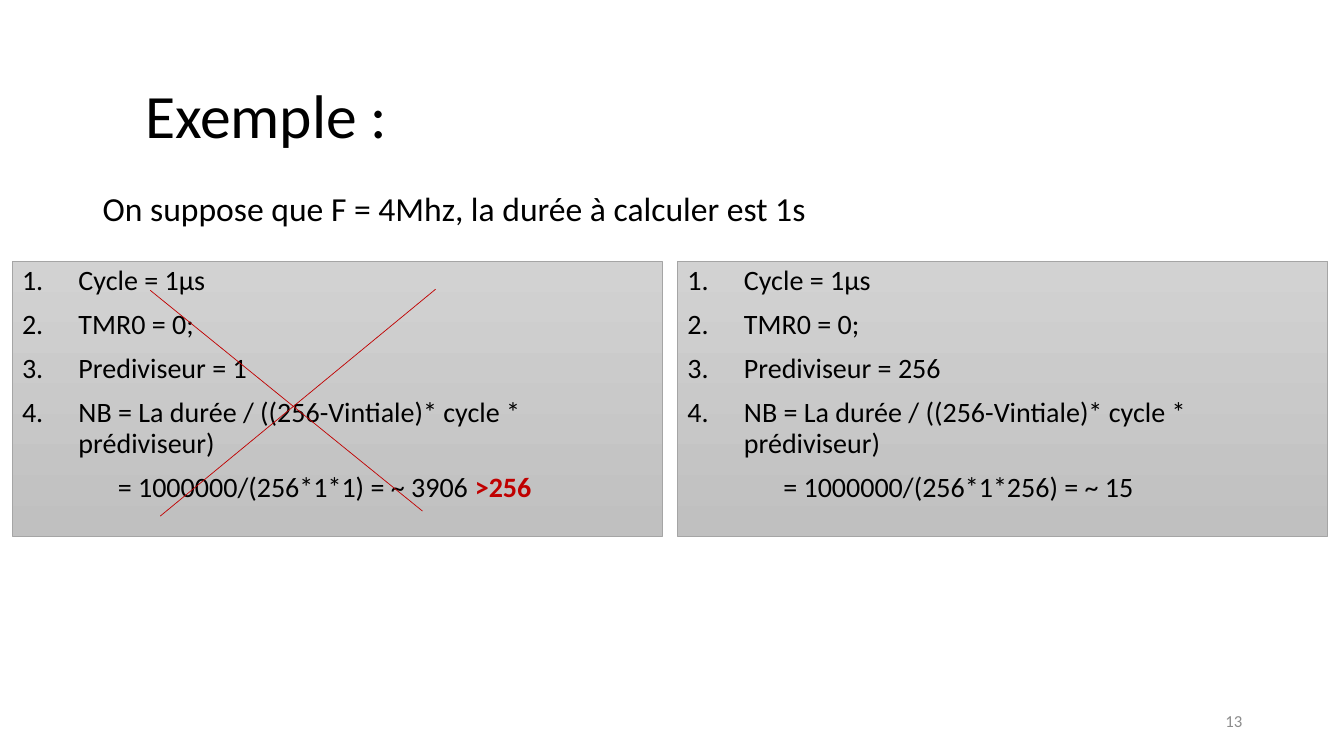
"""Build the timer example slide with its two compared calculations."""
from lxml import etree
from pptx import Presentation
from pptx.dml.color import RGBColor
from pptx.enum.shapes import MSO_CONNECTOR, MSO_SHAPE
from pptx.enum.text import MSO_ANCHOR, PP_ALIGN
from pptx.oxml.ns import qn
from pptx.util import Inches, Pt

LINE = MSO_CONNECTOR.STRAIGHT
RECT = MSO_SHAPE.RECTANGLE
TOP, MIDDLE = MSO_ANCHOR.TOP, MSO_ANCHOR.MIDDLE
LEFT, RIGHT = PP_ALIGN.LEFT, PP_ALIGN.RIGHT
BLACK, RED, GRAY = "000000", "C00000", "8C8C8C"


def color(code):
    return RGBColor.from_string(code)


def style(para, size, code=BLACK, align=LEFT):
    para.alignment = align
    para.font.name = "Calibri"
    para.font.size = Pt(size)
    para.font.color.rgb = color(code)


deck = Presentation()
deck.slide_width, deck.slide_height = Inches(13.33), Inches(7.5)
slide = deck.slides.add_slide(deck.slide_layouts[6])
shapes = slide.shapes

labels = [
    ("Exemple :", 1.34, 0.4, 11.08, 1.45, 44, BLACK, LEFT, MIDDLE, True),
    ("On suppose que F = 4Mhz, la durée à calculer est 1s",
     0.92, 1.82, 7.24, 0.5, 24, BLACK, LEFT, TOP, False),
    ("13", 9.42, 6.95, 3, 0.4, 12, GRAY, RIGHT, MIDDLE, True),
]
for text, x, y, w, h, size, code, align, anchor, wrap in labels:
    frame = shapes.add_textbox(Inches(x), Inches(y), Inches(w), Inches(h)).text_frame
    frame.word_wrap = wrap
    frame.vertical_anchor = anchor
    frame.text = text
    style(frame.paragraphs[0], size, code, align)

panels = [
    (0.12, "1", "= 1000000/(256*1*1) = ~ 3906 ", ">256"),
    (6.72, "256", "= 1000000/(256*1*256) = ~ 15", ""),
]
for x, scale, result, alert in panels:
    panel = shapes.add_shape(RECT, Inches(x), Inches(2.59), Inches(6.45), Inches(2.73))
    panel.shadow.inherit = False
    panel.fill.gradient()
    panel.fill.gradient_angle = 270
    for stop, code in zip(panel.fill.gradient_stops, ("D2D2D2", "C0C0C0")):
        stop.color.rgb = color(code)
    panel.line.color.rgb = color("A5A5A5")
    panel.line.width = Pt(0.5)
    frame = panel.text_frame
    frame.word_wrap = True
    frame.vertical_anchor = TOP
    steps = ["Cycle = 1µs", "TMR0 = 0;", f"Prediviseur = {scale}",
             "NB = La durée / ((256-Vintiale)* cycle * prédiviseur)"]
    frame.text = "\n".join(steps + [result])
    for i, para in enumerate(frame.paragraphs):
        props = para._p.get_or_add_pPr()
        if i < len(steps):
            props.set("marL", str(Inches(0.56)))
            props.set("indent", str(-Inches(0.56)))
            etree.SubElement(props, qn("a:buFont"), typeface="+mj-lt")
            etree.SubElement(props, qn("a:buAutoNum"), type="arabicPeriod")
        else:
            props.set("marL", str(Inches(0.95)))
        style(para, 20)
        para.line_spacing = 0.9
        if i:
            para.space_before = Pt(10)
    if alert:
        run = para.add_run()
        run.text = alert
        run.font.bold = True
        run.font.color.rgb = color(RED)

for ends in [(4.32, 2.87, 1.59, 5.12), (1.49, 2.88, 4.19, 5.07)]:
    cross = shapes.add_connector(LINE, *map(Inches, ends))
    cross.line.color.rgb = color(RED)
    cross.line.width = Pt(0.5)
    etree.SubElement(cross._element.spPr, qn("a:effectLst"))

deck.save("out.pptx")
